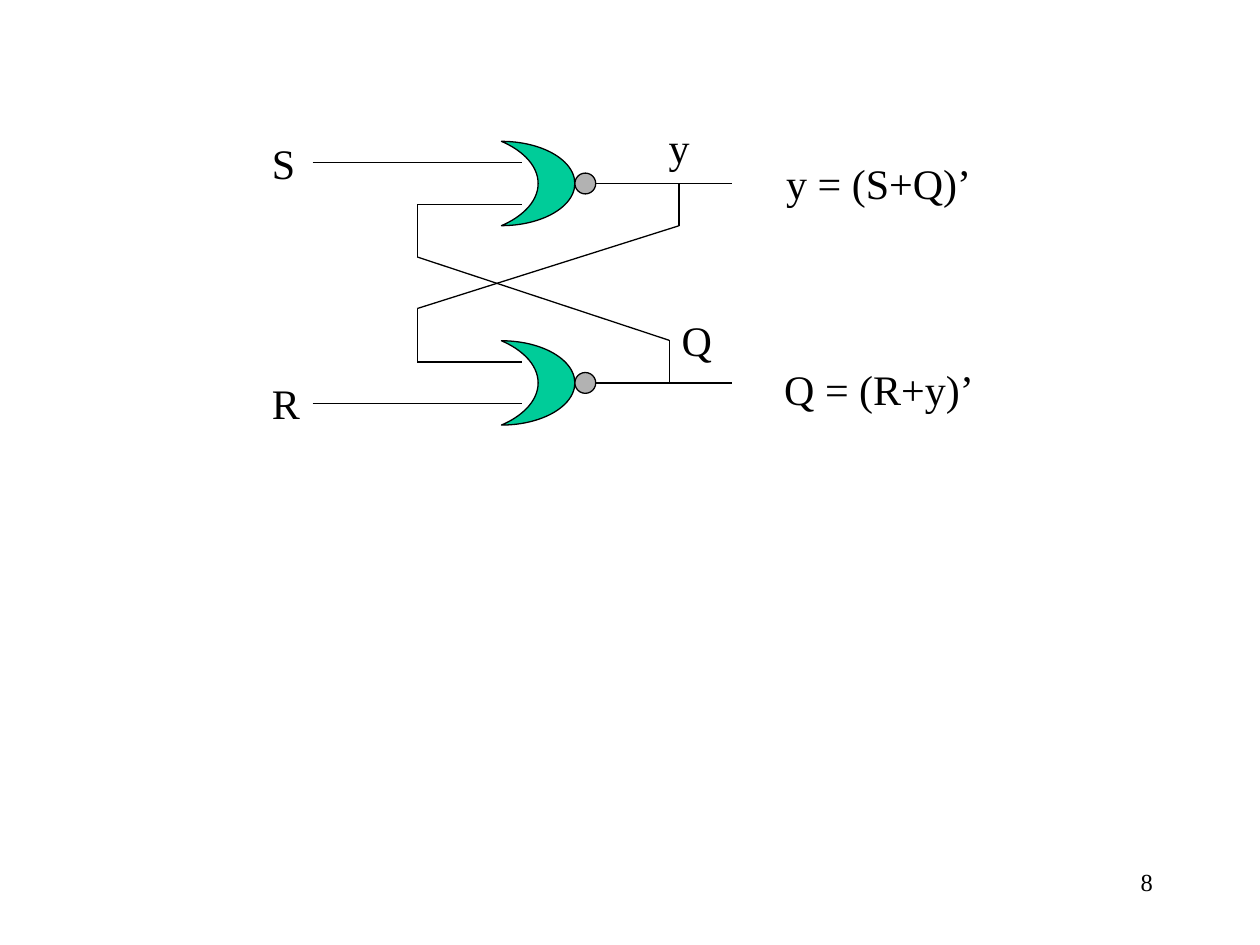
from dataclasses import dataclass
from typing import NamedTuple

from lxml import etree
from pptx import Presentation
from pptx import util as u
from pptx.dml.color import RGBColor
from pptx.enum import shapes, text
from pptx.oxml.ns import qn


@dataclass(frozen=True)
class Theme:
    font: str = "Times New Roman"
    ink: RGBColor = RGBColor(0, 0, 0)
    gate: RGBColor = RGBColor(0x00, 0xCC, 0x99)
    bubble: RGBColor = RGBColor(0xB2, 0xB2, 0xB2)
    label: int = 24
    page: int = 14
    line: float = 0.75


class Label(NamedTuple):
    words: str
    left: float
    top: float
    width: float


class Wire(NamedTuple):
    x1: float
    y1: float
    x2: float
    y2: float


THEME = Theme()

# Circuit grid in cm: gate rows, input pins and wire columns
TOP, LOW = 3.7, 7.72
PIN = 0.42
START, BEND, INPUT, OUTPUT, END = 6.3, 8.41, 10.52, 12.01, 14.76
TAP_Y, TAP_Q = 13.69, 13.49
GATE_X, GATE_W, GATE_H = 10.11, 1.48, 1.7
BOX_H = 1.27

WIRES = [
    # Inputs and outputs
    Wire(START, TOP - PIN, INPUT, TOP - PIN),
    Wire(START, LOW + PIN, INPUT, LOW + PIN),
    Wire(OUTPUT, TOP, END, TOP),
    Wire(OUTPUT, LOW, END, LOW),
    # Feedback from y to the lower gate
    Wire(TAP_Y, 4.55, TAP_Y, TOP),
    Wire(TAP_Y, 4.55, BEND, 6.22),
    Wire(BEND, LOW - PIN, BEND, 6.22),
    Wire(INPUT, LOW - PIN, BEND, LOW - PIN),
    # Feedback from Q to the upper gate
    Wire(TAP_Q, 6.86, TAP_Q, LOW),
    Wire(BEND, 5.18, TAP_Q, 6.86),
    Wire(BEND, 5.18, BEND, TOP + PIN),
    Wire(INPUT, TOP + PIN, BEND, TOP + PIN),
]

LABELS = [
    Label("S", 5.23, 2.65, 1.0),
    Label("R", 5.23, 7.49, 1.07),
    Label("y", 13.23, 2.33, 0.94),
    Label("Q", 13.49, 6.22, 1.12),
    Label("y = (S+Q)’", 15.6, 3.05, 4.24),
    Label("Q = (R+y)’", 15.56, 7.2, 4.34),
]


def draw_shape(slide, kind, x: float, y: float, w: float, h: float,
               fill: RGBColor):
    shape = slide.shapes.add_shape(kind, u.Cm(x), u.Cm(y), u.Cm(w), u.Cm(h))
    shape.shadow.inherit = False
    shape.fill.solid()
    shape.fill.fore_color.rgb = fill
    shape.line.color.rgb = THEME.ink
    shape.line.width = u.Pt(THEME.line)
    return shape


def draw_gate(slide, mid: float) -> None:
    body = draw_shape(slide, shapes.MSO_SHAPE.MOON, GATE_X, mid - GATE_H / 2,
                      GATE_W, GATE_H, THEME.gate)
    body.element.spPr.xfrm.set("flipH", "1")
    left = GATE_X + GATE_W
    size = OUTPUT - left
    draw_shape(slide, shapes.MSO_SHAPE.OVAL, left, mid - size / 2,
               size, size, THEME.bubble)


def draw_wire(slide, wire: Wire) -> None:
    line = slide.shapes.add_connector(shapes.MSO_CONNECTOR.STRAIGHT,
                                      *(u.Cm(v) for v in wire))
    line.line.color.rgb = THEME.ink
    line.line.width = u.Pt(THEME.line)
    etree.SubElement(line.element.spPr, qn("a:effectLst"))


def draw_text(slide, label: Label, size: int, wrap: bool = False,
              align=text.PP_ALIGN.LEFT) -> None:
    box = slide.shapes.add_textbox(u.Cm(label.left), u.Cm(label.top),
                                   u.Cm(label.width), u.Cm(BOX_H))
    frame = box.text_frame
    frame.word_wrap = wrap
    if not wrap:
        frame.auto_size = text.MSO_AUTO_SIZE.SHAPE_TO_FIT_TEXT
    para = frame.paragraphs[0]
    para.text = label.words
    para.alignment = align
    para.font.name = THEME.font
    para.font.size = u.Pt(size)
    para.font.color.rgb = THEME.ink


def main() -> None:
    deck = Presentation()
    deck.slide_width, deck.slide_height = u.Cm(25.4), u.Cm(19.05)
    slide = deck.slides.add_slide(deck.slide_layouts[6])

    # Latch circuit
    for mid in (TOP, LOW):
        draw_gate(slide, mid)
    for wire in WIRES:
        draw_wire(slide, wire)

    # Signal names and equations
    for label in LABELS:
        draw_text(slide, label, THEME.label)

    # Page number
    draw_text(slide, Label("8", 18.21, 17.35, 5.28), THEME.page,
              wrap=True, align=text.PP_ALIGN.RIGHT)

    deck.save("out.pptx")


if __name__ == "__main__":
    main()
